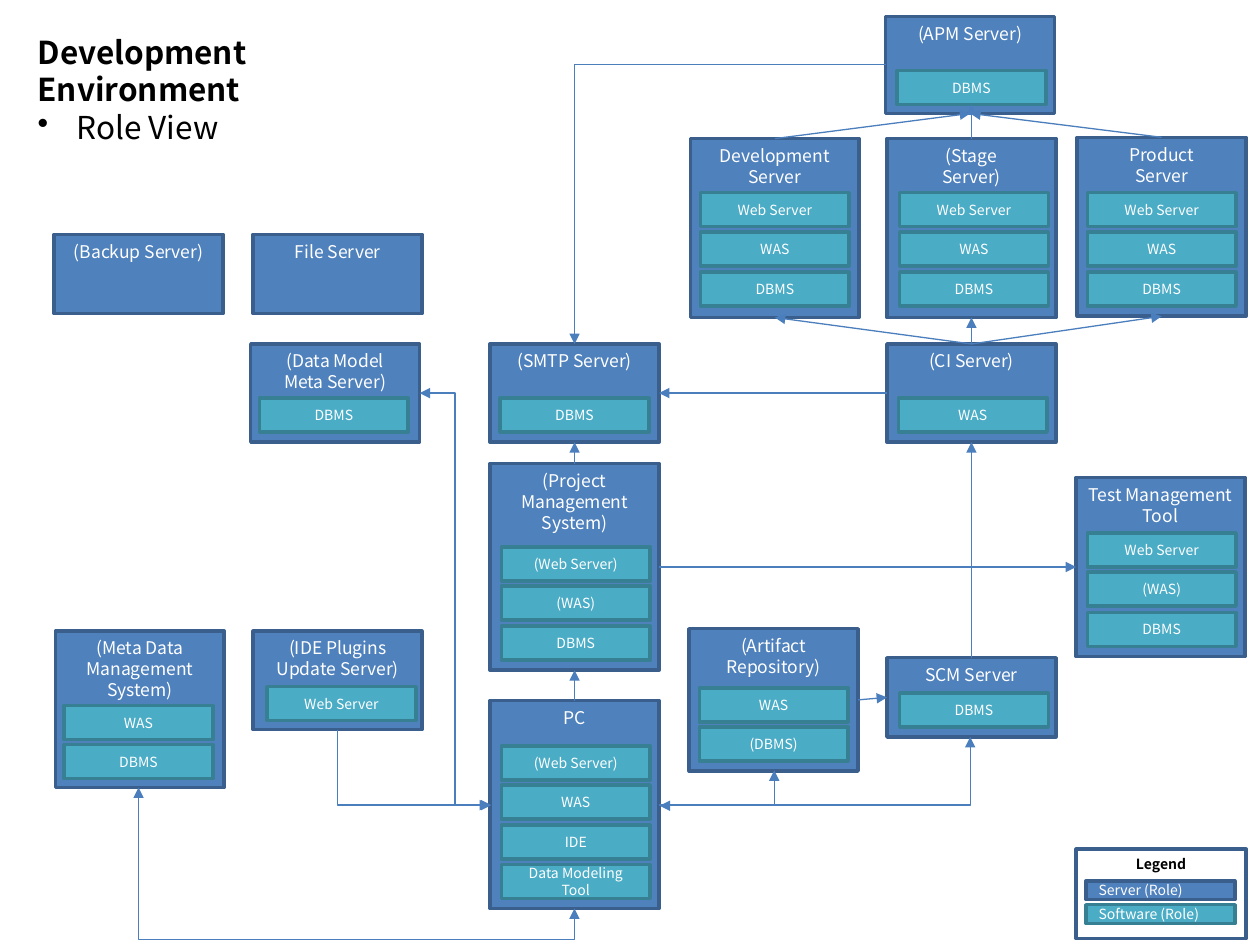
from pptx import Presentation
from pptx.dml.color import RGBColor
from pptx.enum import shapes, text
from pptx.oxml import ns, xmlchemy
from pptx import util as u

PX = u.Inches(0.01)  # 100 px to the inch
FONT = "Noto Sans CJK KR"
SERVER = ("4F81BD", "3A5F8C")
SOFTWARE = ("4BACC6", "377F92")
LINK, WHITE, BLACK = "4B7EBC", "FFFFFF", "000000"
TOP, LEFT, BOTTOM, RIGHT = range(4)
BOX_W, ITEM_W, ITEM_H = 134, 118, 27

# key: (label, left, top, height, software left, software top, software)
WEB_STACK = ["Web Server", "WAS", "DBMS"]
SERVERS = {
    "ci": ("(CI Server)", 704, 273, 78, 713, 316, ["WAS"]),
    "scm": ("SCM Server", 704, 522, 63, 714, 550, ["DBMS"]),
    "project": ("(Project Management System)", 389, 368, 164, 398, 434,
                ["(Web Server)", "(WAS)", "DBMS"]),
    "development": ("Development\nServer", 548, 110, 142, 556, 153, WEB_STACK),
    "stage": ("(Stage\nServer)", 704, 110, 142, 714, 153, WEB_STACK),
    "product": ("Product\nServer", 855, 109, 142, 863, 153, WEB_STACK),
    "pc": ("PC", 389, 556, 165, 398, 592,
           ["(Web Server)", "WAS", "IDE", "Data Modeling Tool"]),
    "artifact": ("(Artifact\nRepository)", 547, 499, 113, 555, 546, ["WAS", "(DBMS)"]),
    "smtp": ("(SMTP Server)", 389, 273, 78, 397, 316, ["DBMS"]),
    "apm": ("(APM Server)", 703, 13, 77, 712, 56, ["DBMS"]),
    "plugins": ("(IDE Plugins\nUpdate Server)", 201, 501, 78, 212, 545, ["Web Server"]),
    "model": ("(Data Model\nMeta Server)", 199, 273, 78, 206, 316, ["DBMS"]),
    "metadata": ("(Meta Data Management System)", 44, 501, 124, 51, 560, ["WAS", "DBMS"]),
    "file": ("File Server", 201, 186, 63, 0, 0, []),
    "backup": ("(Backup Server)", 43, 186, 63, 0, 0, []),
    "test": ("Test Management Tool", 854, 379, 142, 863, 423,
             ["Web Server", "(WAS)", "DBMS"]),
}

ARROWS = [
    ("scm", TOP, "ci", BOTTOM),
    ("ci", TOP, "development", BOTTOM),
    ("ci", TOP, "stage", BOTTOM),
    ("ci", TOP, "product", BOTTOM),
    ("pc", TOP, "project", BOTTOM),
    ("project", TOP, "smtp", BOTTOM),
    ("ci", LEFT, "smtp", RIGHT),
    ("artifact", RIGHT, "scm", LEFT),
    ("development", TOP, "apm", BOTTOM),
    ("stage", TOP, "apm DBMS", BOTTOM),
    ("product", TOP, "apm", BOTTOM),
    ("project", RIGHT, "test", LEFT),
]


def rgb(value):
    return RGBColor.from_string(value)


def add_xml(parent, tag, **attributes):
    child = xmlchemy.OxmlElement(tag)
    for key, value in attributes.items():
        child.set(key, str(value))
    parent.append(child)
    return child


def write(frame, content, size=10, color=WHITE, bold=False,
          align=text.PP_ALIGN.CENTER, bullet=None):
    """Add each line of content as a paragraph, filling an empty first one."""
    frame.word_wrap = True
    for line in content.split("\n"):
        paragraph = frame.paragraphs[0]
        if paragraph.runs:
            paragraph = frame.add_paragraph()
        if bullet:
            properties = paragraph._p.get_or_add_pPr()
            properties.set("marL", str(31 * PX))
            properties.set("indent", str(-31 * PX))
            add_xml(properties, "a:buChar", char=bullet)
        paragraph.alignment = align
        run = paragraph.add_run()
        run.text = line
        font = run.font
        font.name, font.size, font.bold = FONT, u.Pt(size), bold
        font.color.rgb = rgb(color)


class Diagram:
    def __init__(self, slide):
        self.slide = slide
        self.boxes = {}

    def box(self, x, y, w, h, colors, label, middle=False, **style):
        fill, edge = colors
        shape = self.slide.shapes.add_shape(
            shapes.MSO_SHAPE.RECTANGLE, x * PX, y * PX, w * PX, h * PX)
        shape.shadow.inherit = False
        if fill:
            shape.fill.solid()
            shape.fill.fore_color.rgb = rgb(fill)
        else:
            shape.fill.background()
        shape.line.color.rgb = rgb(edge)
        shape.line.width = u.Pt(2)
        anchor = text.MSO_ANCHOR
        shape.text_frame.vertical_anchor = anchor.MIDDLE if middle else anchor.TOP
        write(shape.text_frame, label, **style)
        return shape

    def server(self, key, label, x, y, h, item_x, item_y, software):
        """Draw a server with its stack of software."""
        self.boxes[key] = self.box(x, y, BOX_W, h, SERVER, label)
        for i, item in enumerate(software):
            self.boxes[f"{key} {item}"] = self.box(
                item_x, item_y + i * 63 // 2, ITEM_W, ITEM_H, SOFTWARE, item,
                middle=True, size=8)

    def style_link(self, link, both=False):
        link.line.color.rgb = rgb(LINK)
        link.line.width = u.Pt(0.75)
        outline = link.line._get_or_add_ln()
        if both:
            add_xml(outline, "a:headEnd", type="triangle")
        add_xml(outline, "a:tailEnd", type="triangle")
        add_xml(link._element.spPr, "a:effectLst")

    def arrow(self, start, start_side, end, end_side):
        link = self.slide.shapes.add_connector(shapes.MSO_CONNECTOR.STRAIGHT, 0, 0, 0, 0)
        link.begin_connect(self.boxes[start], start_side)
        link.end_connect(self.boxes[end], end_side)
        self.style_link(link)

    def elbow(self, x, y, w, h, bends=1, turn=0, flip=None, both=False, adjust=None):
        """Draw a bent arrow; x, y, w, h hold before the turn in degrees."""
        link = self.slide.shapes.add_connector(
            shapes.MSO_CONNECTOR.ELBOW, x * PX, y * PX, (x + w) * PX, (y + h) * PX)
        properties = link._element.spPr
        frame = properties.find(ns.qn("a:xfrm"))
        frame.set("rot", str(turn * 60000))
        if flip:
            frame.set(flip, "1")
        geometry = properties.find(ns.qn("a:prstGeom"))
        geometry.set("prst", f"bentConnector{bends + 1}")
        if adjust is not None:
            add_xml(geometry.find(ns.qn("a:avLst")), "a:gd",
                    name="adj1", fmla=f"val {adjust}")
        self.style_link(link, both)

    def title(self, x, y, w, h, heading, subtitle):
        frame = self.slide.shapes.add_textbox(x * PX, y * PX, w * PX, h * PX).text_frame
        style = dict(size=18, color=BLACK, align=text.PP_ALIGN.LEFT)
        write(frame, heading, bold=True, **style)
        write(frame, subtitle, bullet="•", **style)

    def legend(self):
        self.box(854, 674, 135, 71, (None, SERVER[1]), "Legend",
                 size=8, color=BLACK, bold=True)
        entries = [("Server (Role)", SERVER), ("Software (Role)", SOFTWARE)]
        for i, (label, colors) in enumerate(entries):
            self.box(862, 699 + 19 * i, ITEM_W, 15, colors, label,
                     middle=True, size=8, align=text.PP_ALIGN.LEFT)


def main():
    deck = Presentation()
    deck.slide_width, deck.slide_height = 1000 * PX, 750 * PX
    diagram = Diagram(deck.slides.add_slide(deck.slide_layouts[6]))
    diagram.title(20, 21, 342, 71, "Development Environment", "Role View")
    for key, server in SERVERS.items():
        diagram.server(key, *server)
    for arrow in ARROWS:
        diagram.arrow(*arrow)

    diagram.elbow(523, 585, 247, 54, flip="flipV")  # PC to SCM
    diagram.elbow(456, 51, 247, 222, turn=180, flip="flipV")  # APM to SMTP
    diagram.elbow(299, 548, 60, 122, turn=270, flip="flipH")  # plugins to PC
    diagram.elbow(555, 580, 28, 91, turn=90, both=True)  # artifacts and PC
    diagram.elbow(333, 312, 56, 327, bends=2, turn=180, both=True)  # PC and data model
    diagram.elbow(235, 500, 96, 346, bends=2, turn=90, flip="flipH",
                  both=True, adjust=-25900)  # PC and meta data
    diagram.legend()
    deck.save("out.pptx")


if __name__ == "__main__":
    main()
